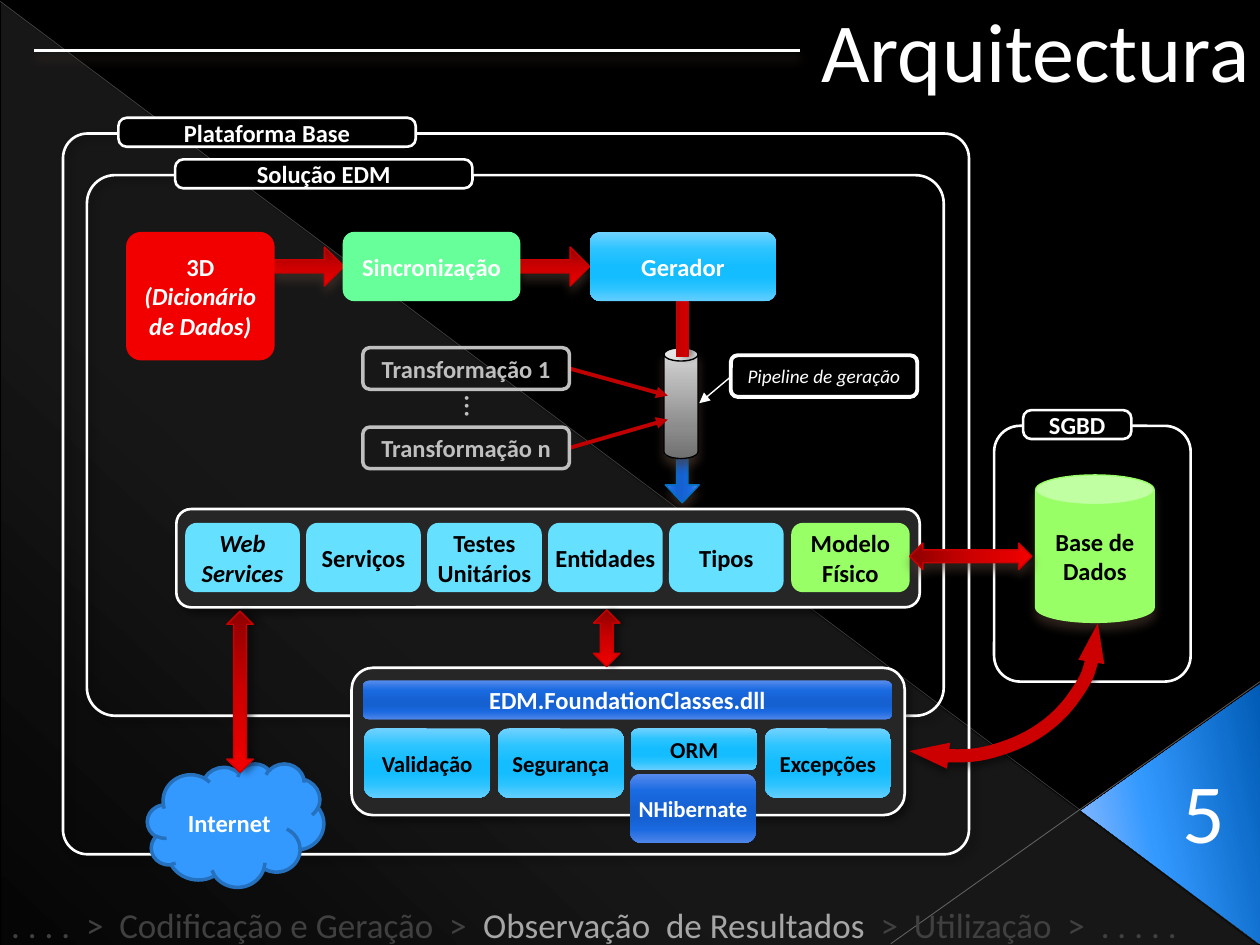
from dataclasses import dataclass
from pptx import Presentation
from pptx.util import Inches, Pt
from pptx.dml.color import RGBColor
from pptx.enum.shapes import MSO_SHAPE, MSO_CONNECTOR
from pptx.enum.text import PP_ALIGN, MSO_ANCHOR
from pptx.oxml import parse_xml
from pptx.oxml.ns import qn, nsdecls

ROUND, CAN, CLOUD = MSO_SHAPE.ROUNDED_RECTANGLE, MSO_SHAPE.CAN, MSO_SHAPE.CLOUD
RIGHT, UPDOWN, ARC = MSO_SHAPE.RIGHT_ARROW, MSO_SHAPE.UP_DOWN_ARROW, MSO_SHAPE.ARC
WEDGE, CORNER = MSO_SHAPE.ISOSCELES_TRIANGLE, MSO_SHAPE.RIGHT_TRIANGLE
STRAIGHT = MSO_CONNECTOR.STRAIGHT
LEFT, CENTER, JUSTIFY = PP_ALIGN.LEFT, PP_ALIGN.CENTER, PP_ALIGN.JUSTIFY
TOP, MIDDLE = MSO_ANCHOR.TOP, MSO_ANCHOR.MIDDLE


@dataclass(frozen=True)
class Theme:
    font: str = "Calibri"
    title: int = 48
    trail: int = 20
    dots: int = 18
    body: int = 14
    small: int = 13
    note: int = 11
    white: str = "FFFFFF"
    black: str = "000000"
    red: str = "CC0000"
    rose: str = "C00000"
    hot: str = "F20000"
    mint: str = "66FF99"
    lime: str = "99FF66"
    cyan: str = "66E0FF"
    sky: str = "3399FF"
    rim: str = "2671BD"
    azure: str = "0070C0"
    panel: str = "262626"
    gray: str = "BFBFBF"
    fall: str = "B4B4B4"
    rise: str = "BDBDBD"
    dim: str = "404040"
    lit: str = "A6A6A6"
    # Gradients: angle, then (stop, colour, opacity)
    fire: tuple = (90, (0, "8F0000", 100), (50, "CC0000", 100), (100, "F20000", 100))
    aqua: tuple = (90, (0, "71D2FF", 100), (25, "2CC4FF", 100), (50, "14BDFF", 100),
                   (65, "14BDFF", 100), (80, "2AC3FF", 100), (100, "63CEFF", 100))
    blue: tuple = (90, (0, "578CEE", 100), (25, "1A6AE1", 100), (50, "1661D2", 100),
                   (65, "1661D2", 100), (80, "1A69E0", 100), (100, "4E85E9", 100))
    steel: tuple = (90, (0, "DADADA", 100), (72, "8C8C8C", 100), (100, "707070", 100))
    veil: tuple = (133, (0, "FFFFFF", 10), (70, "FFFFFF", 8), (100, "FFFFFF", 1))
    fan: tuple = (258, (0, "005BB5", 100), (60, "3399FF", 100), (100, "9BBFFF", 100))
    # Shadows: colour, opacity, blur, distance, angle
    cast: tuple = ("000000", 40, 4, 3, 45)
    side: tuple = ("000000", 40, 4, 3, 0)
    drop: tuple = ("000000", 40, 4, 3, 90)
    glow: tuple = ("4E3B30", 60, 6, 4, 90)


T = Theme()
prs = Presentation()
prs.slide_width, prs.slide_height = Inches(10), Inches(7.5)
COL, ROW = prs.slide_width / 100, prs.slide_height / 75  # grid of 100 by 75
slide = prs.slides.add_slide(prs.slide_layouts[6])
slide.background.fill.solid()
slide.background.fill.fore_color.rgb = RGBColor.from_string(T.black)


def place(box, x, y, w, h):
    """Turn grid cells counted from the box's corner into lengths."""
    return [round(v) for v in ((box[0] + x) * COL, (box[1] + y) * ROW, w * COL, h * ROW)]


def tint(color, alpha):
    return f'<a:srgbClr val="{color}"><a:alpha val="{alpha * 1000}"/></a:srgbClr>'


def blend(shape, grad):
    stops = "".join(f'<a:gs pos="{p * 1000}">{tint(c, a)}</a:gs>' for p, c, a in grad[1:])
    shape.fill.background()
    props = shape._element.spPr
    props.replace(props.find(qn("a:noFill")), parse_xml(
        f'<a:gradFill {nsdecls("a")} rotWithShape="1"><a:gsLst>{stops}</a:gsLst>'
        f'<a:lin ang="{grad[0] * 60000}" scaled="0"/></a:gradFill>'))


def stroke(item, color, width, alpha=100, head=False, tail=False, tip="med", shadow=None):
    """Line, arrowheads and shadow of a shape or connector."""
    if color:
        item.line.color.rgb = RGBColor.from_string(color)
        item.line.width = Pt(width)
        if alpha < 100:
            item.line._ln.find(".//" + qn("a:srgbClr")).append(
                parse_xml(f'<a:alpha {nsdecls("a")} val="{alpha * 1000}"/>'))
        for end, shown in (("headEnd", head), ("tailEnd", tail)):
            if shown:
                item.line._ln.append(parse_xml(
                    f'<a:{end} {nsdecls("a")} type="triangle" w="{tip}"/>'))
    else:
        item.line.fill.background()
    props = item._element.spPr
    for old in props.findall(qn("a:effectLst")):
        props.remove(old)
    inner = ""
    if shadow:
        hue, clear, blur, dist, turn = shadow
        inner = (f'<a:outerShdw blurRad="{Pt(blur)}" dist="{Pt(dist)}" dir="{turn * 60000}" '
                 f'rotWithShape="0">{tint(hue, clear)}</a:outerShdw>')
    props.append(parse_xml(f'<a:effectLst {nsdecls("a")}>{inner}</a:effectLst>'))


def text(shape, words, size=T.body, color=T.white, bold=True, slant=False,
         align=CENTER, anchor=MIDDLE, inset=True, wrap=True):
    """Words: a string, or paragraphs of (string, changes) runs."""
    frame = shape.text_frame
    frame.word_wrap, frame.vertical_anchor = wrap, anchor
    if not inset:
        frame.margin_left = frame.margin_right = frame.margin_top = frame.margin_bottom = 0
    for n, runs in enumerate([[(words, {})]] if isinstance(words, str) else words):
        para = frame.add_paragraph() if n else frame.paragraphs[0]
        para.alignment = align
        for part, change in runs:
            run = para.add_run()
            run.text, font = part, run.font
            font.name, font.size, font.bold = T.font, Pt(size), bold
            font.italic = change.get("slant", slant)
            font.color.rgb = RGBColor.from_string(change.get("color", color))


def draw(kind, box, cells, fill=None, line=None, width=1.5, adj=(), turn=0, words=None,
         shadow=None, head=False, tail=False, tip="med", **fmt):
    shape = slide.shapes.add_shape(kind, *place(box, *cells))
    shape.rotation = turn
    for n, value in enumerate(adj):
        shape.adjustments[n] = value
    if isinstance(fill, tuple):
        blend(shape, fill)
    elif fill:
        shape.fill.solid()
        shape.fill.fore_color.rgb = RGBColor.from_string(fill)
    else:
        shape.fill.background()
    stroke(shape, line, width, head=head, tail=tail, tip=tip, shadow=shadow)
    if words:
        text(shape, words, **fmt)


def label(box, cells, words, turn=0, align=LEFT, **fmt):
    item = slide.shapes.add_textbox(*place(box, *cells))
    item.rotation = turn
    text(item, words, bold=False, align=align, anchor=TOP, **fmt)


def link(box, x, y, to_x, to_y, color, width, **fmt):
    start, end = place(box, x, y, 0, 0)[:2], place(box, to_x, to_y, 0, 0)[:2]
    stroke(slide.shapes.add_connector(STRAIGHT, *start, *end), color, width, **fmt)


def arrow(box, cells, shadow, kind=UPDOWN, adj=(0.455, 0.485), turn=0, fill=T.fire,
          line=T.red):
    draw(kind, box, cells, fill, line, 0.79, adj, turn, shadow=shadow)


def frame(box, adj, fill=None):
    draw(ROUND, box, (0, 0, *box[2:]), fill, T.white, adj=[adj], shadow=T.cast)


def tag(box, x, width, words):
    """Name plate that sits on a frame's top edge."""
    draw(ROUND, box, (x, -1.25, width, 2.3), T.black, T.white, adj=[0.285], words=words)


def scene(box):
    draw(CORNER, box, (0.1, 0.2, 99.8, 74.8), T.veil)
    link(box, 0, 0.1, 99.9, 74.9, T.fall, 0.39, alpha=35)
    link(box, 100, 54.1, 70.7, 74.9, T.rise, 0.47, alpha=45)
    draw(WEDGE, box, (82.6, 57.5, 20.7, 14.2), T.fan, adj=[0.513], turn=270)
    label(box, (92.9, 59.8, 5.4, 9.1), "5", size=T.title, wrap=False)


def header(box):
    label(box, (64.2, -0.6, 36.4, 9.1), "Arquitectura", size=T.title, wrap=False)
    link(box, 63.5, 4, 2.7, 4, T.white, 2, shadow=T.glow)


def footer(box):
    label(box, (0, 0, *box[2:]), [[
        (". . . .  >  Codificação e Geração  >  ", {}),
        ("Observação  de Resultados", {"color": T.lit}),
        ("  >  Utilização  >  . . . . . ", {})]],
        size=T.trail, color=T.dim, align=JUSTIFY)


def flow(box):
    """Dictionary, synchronisation and generator."""
    for x in (11.8, 31.3):
        arrow(box, (x, 1.2, 5.5, 3.1), T.glow, RIGHT, (0.332, 0.5))
    draw(ROUND, box, (0, 0, 11.8, 10.2), T.hot, adj=[0.117],
         words=[[("3D", {})], [("(Dicionário de Dados)", {"slant": True})]])
    draw(ROUND, box, (17.2, 0, 14.1, 5.5), T.mint, words="Sincronização")
    draw(ROUND, box, (36.8, 0, 14.8, 5.5), T.aqua, words="Gerador")


def pipe(box):
    """Transformations feeding the generation pipeline."""
    arrow(box, (22.8, 8.4, 5.1, 2.7), T.glow, RIGHT, (0.332, 0.522), 90, T.blue, T.azure)
    draw(CAN, box, (23.9, 0, 2.7, 8.8), T.steel, T.black, 0.79, [0.392], shadow=T.glow)
    arrow(box, (23, -3, 4.7, 2.7), T.side, RIGHT, (0.332, 0), 270)
    for n, (row, hit) in enumerate(((0, 3.8), (6.3, 5.7))):
        link(box, 16.4, row + 1.65, 24.2, hit, T.rose, 2.25, tail=True)
        draw(ROUND, box, (0, row, 16.4, 3.3), None, T.gray, 2,
             words=f"Transformação {'1n'[n]}", color=T.gray)
    label(box, (8.3, 2, 1.6, 4), "…", turn=90, size=T.dots, color=T.gray)
    link(box, 29.2, 2.3, 26.7, 4.4, T.white, 0.79, tail=True)
    draw(ROUND, box, (29.2, 0.6, 14.8, 3.3), None, T.white, 2.25,
         words="Pipeline de geração", size=T.note, bold=False, slant=True)


def outputs(box):
    frame(box, 0.148, T.panel)
    names = "Web Services", "Serviços", "Testes Unitários", "Entidades", "Tipos"
    for n, name in enumerate(names):
        draw(ROUND, box, (0.7 + 9.6 * n, 1.1, 9.1, 5.5), T.cyan, words=name,
             color=T.black, slant=not n, inset=False)
    draw(ROUND, box, (48.8, 1.1, 9.4, 5.5), T.lime, words="Modelo Físico", color=T.black)


def base(box):
    """Foundation classes."""
    frame(box, 0.148, T.panel)
    draw(ROUND, box, (0.9, 1, 42, 3.1), T.blue, words="EDM.FoundationClasses.dll")
    for n, name in enumerate(("Validação", "Segurança", "ORM", "Excepções")):
        draw(ROUND, box, (1 + 10.6 * n, 4.8, 10, 3.3 if name == "ORM" else 5.5), T.aqua,
             words=name, size=T.small, color=T.black, inset=False)
    draw(ROUND, box, (22.1, 8.4, 10, 5.5), T.blue, words="NHibernate", size=T.small,
         inset=False)


def store(box):
    frame(box, 0.132)
    tag(box, 2.3, 8.6, "SGBD")
    draw(CAN, box, (3.3, 3.9, 9.4, 11.7), T.lime, T.lime, 0.79, shadow=T.glow,
         words="Base de Dados", color=T.black)


def web(box):
    draw(CLOUD, box, (0, 0, *box[2:]), T.sky, T.rim, 2, words="Internet")
    arrow(box, (6.3, -12.1, 2.1, 12.8), T.side)


def bridges(box):
    """Arrows between regions."""
    arrow(box, (47.1, 48.4, 2.1, 4.5), T.side)
    arrow(box, (76, 39.3, 2.1, 9.7), T.glow, turn=270)
    draw(ARC, box, (60.6, 31.7, 24.7, 30), None, T.red, 7.5, (147.59, 197.08), 125,
         shadow=T.drop, head=True, tail=True, tip="sm")


page, host, plan = (0, 0, 100, 75), (5, 10.6, 71.9, 57.2), (6.9, 13.9, 68, 42.9)
scene(page)
frame(host, 0.034)
frame(plan, 0.052)
tag(plan, 7, 23.6, "Solução EDM")
tag(host, 4.4, 23.6, "Plataforma Base")
pipe((28.8, 27.6, 44, 11))
flow((10, 18.4, 51.6, 10.2))
base((27.9, 53, 43.9, 11.7))
outputs((14, 40.4, 59, 7.8))
store((78.9, 33.8, 15.6, 20.3))
web((11.7, 60.6, 14, 9.8))
bridges(page)
header(page)
footer((-0.1, 71.2, 99.2, 4.4))
prs.save("out.pptx")
